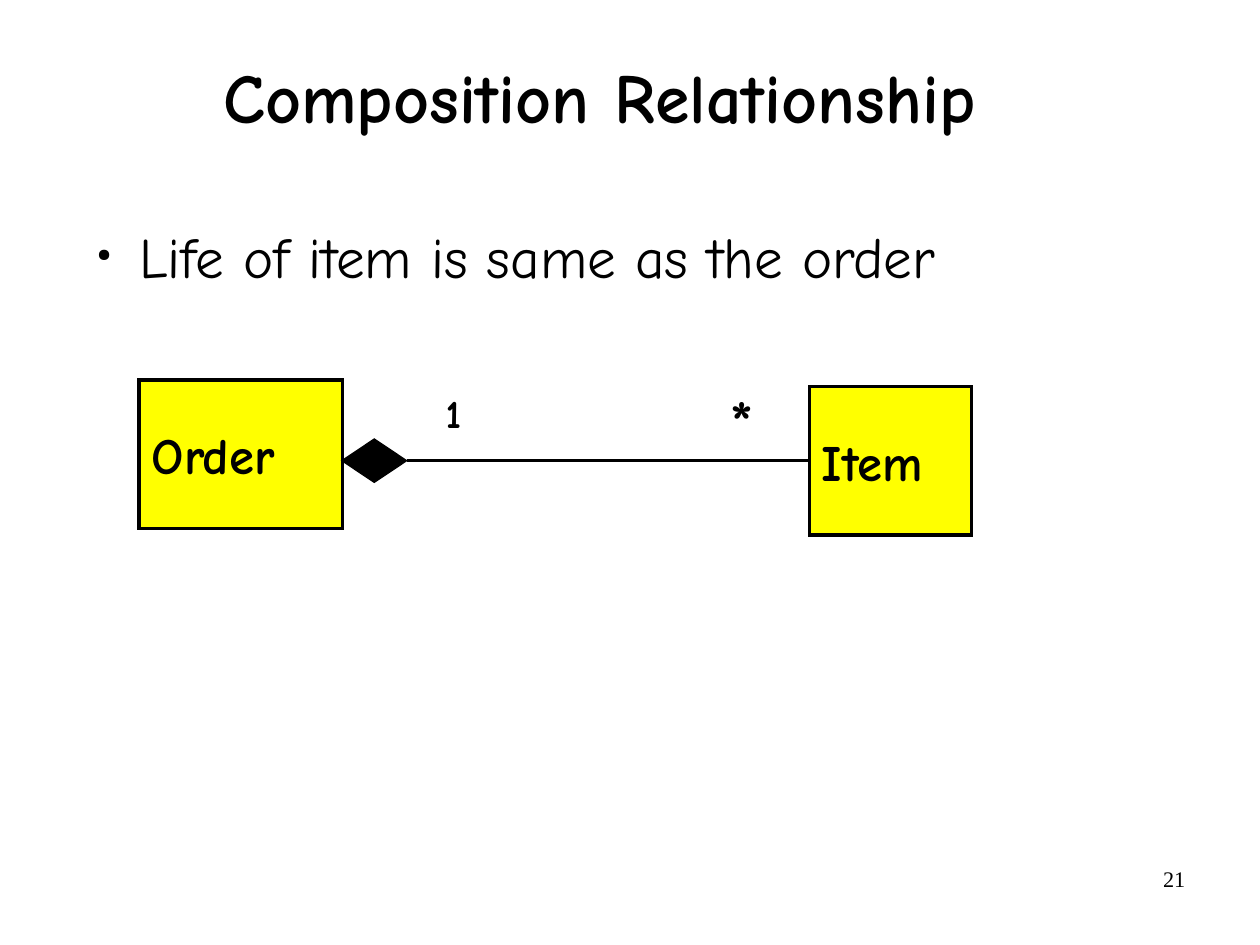
from dataclasses import dataclass

from lxml import etree
from pptx import Presentation
from pptx.dml.color import RGBColor
from pptx.enum.shapes import MSO_CONNECTOR, MSO_SHAPE
from pptx.enum.text import MSO_ANCHOR as ANCHOR, PP_ALIGN as ALIGN
from pptx.oxml.ns import qn
from pptx.shapes.autoshape import Shape
from pptx.slide import Slide
from pptx.util import Pt

BLACK, YELLOW = "000000", "FFFF00"
COMIC, TIMES = "Comic Neue", "Times New Roman"


@dataclass
class Box:
    text: str
    left: float
    top: float
    width: float
    height: float
    size: float = 32
    bold: bool = True
    font: str = COMIC
    align: ALIGN = ALIGN.LEFT
    anchor: ANCHOR = ANCHOR.TOP
    inset_x: float = 0
    inset_y: float = 0
    spacing: float = 1.0
    bullet: bool = False


TEXTS = [
    Box("21", 568.8, 541.6, 185, 41, 14, False, TIMES, ALIGN.RIGHT,
        inset_x=7.2, inset_y=3.6),
    Box("Composition Relationship", 40.5, 13.6, 674.6, 98.6, 44, align=ALIGN.CENTER,
        anchor=ANCHOR.MIDDLE, inset_x=1.4, inset_y=4.3, spacing=0.94),
    Box("Life of item is same as the order", 59.8, 138.4, 674.6, 66.2, 36, False,
        inset_x=1.4, inset_y=4.3, spacing=0.94, bullet=True),
    Box("1", 280.8, 244.8, 30, 30.2, 25),
    Box("*", 460.1, 241.2, 30, 45.4, 38),
]
ORDER = Box("Order", 87.6, 239.4, 128.2, 93.6, anchor=ANCHOR.MIDDLE,
            inset_x=7.9, inset_y=4.3)
ITEM = Box("Item", 509.8, 243.4, 102.2, 93.6, anchor=ANCHOR.MIDDLE,
           inset_x=7.9, inset_y=4.3)


def color(value: str) -> RGBColor:
    return RGBColor.from_string(value)


def add_bullet(p) -> None:
    pPr = p._p.get_or_add_pPr()
    pPr.set("marL", str(Pt(26.6)))
    pPr.set("indent", str(Pt(-26.6)))
    etree.SubElement(pPr, qn("a:buSzPct")).set("val", "31000")
    etree.SubElement(pPr, qn("a:buChar")).set("char", "●")


def write_text(sp: Shape, box: Box) -> None:
    tf = sp.text_frame
    frame_format = {
        "word_wrap": True, "vertical_anchor": box.anchor,
        "margin_left": Pt(box.inset_x), "margin_right": Pt(box.inset_x),
        "margin_top": Pt(box.inset_y), "margin_bottom": Pt(box.inset_y),
    }
    for name, value in frame_format.items():
        setattr(tf, name, value)
    p = tf.paragraphs[0]
    p.alignment = box.align
    p.line_spacing = box.spacing
    if box.bullet:
        add_bullet(p)
    r = p.add_run()
    r.text = box.text
    font_format = {"name": box.font, "size": Pt(box.size), "bold": box.bold}
    for name, value in font_format.items():
        setattr(r.font, name, value)
    r.font.color.rgb = color(BLACK)


def add_text(s: Slide, box: Box) -> None:
    sp = s.shapes.add_textbox(Pt(box.left), Pt(box.top), Pt(box.width), Pt(box.height))
    write_text(sp, box)


def add_solid(s: Slide, kind: MSO_SHAPE, left: float, top: float, width: float,
              height: float, fill: str, line: float) -> Shape:
    sp = s.shapes.add_shape(kind, Pt(left), Pt(top), Pt(width), Pt(height))
    sp.shadow.inherit = False
    sp.fill.solid()
    sp.fill.fore_color.rgb = color(fill)
    sp.line.color.rgb = color(BLACK)
    sp.line.width = Pt(line)
    ln = sp._element.spPr.find(qn("a:ln"))
    etree.SubElement(ln, qn("a:miter")).set("lim", "800000")
    return sp


def add_class(s: Slide, box: Box) -> Shape:
    sp = add_solid(s, MSO_SHAPE.RECTANGLE, box.left, box.top, box.width, box.height,
                   YELLOW, 2.25)
    write_text(sp, box)
    return sp


def join(s: Slide, start: Shape, end: Shape) -> None:
    line = s.shapes.add_connector(MSO_CONNECTOR.STRAIGHT, 0, 0, 0, 0)
    line.begin_connect(start, 3)
    line.end_connect(end, 1)
    line.line.color.rgb = color(BLACK)
    line.line.width = Pt(2.25)
    etree.SubElement(line._element.spPr, qn("a:effectLst"))


def main() -> None:
    prs = Presentation()
    prs.slide_width, prs.slide_height = Pt(793.7), Pt(595.28)
    s = prs.slides.add_slide(prs.slide_layouts[6])
    for box in TEXTS:
        add_text(s, box)
    add_class(s, ORDER)
    item = add_class(s, ITEM)
    diamond = add_solid(s, MSO_SHAPE.FLOWCHART_DECISION, 215.3, 276.5, 41, 27.4,
                        BLACK, 0.75)
    join(s, diamond, item)
    prs.save("out.pptx")


if __name__ == "__main__":
    main()
